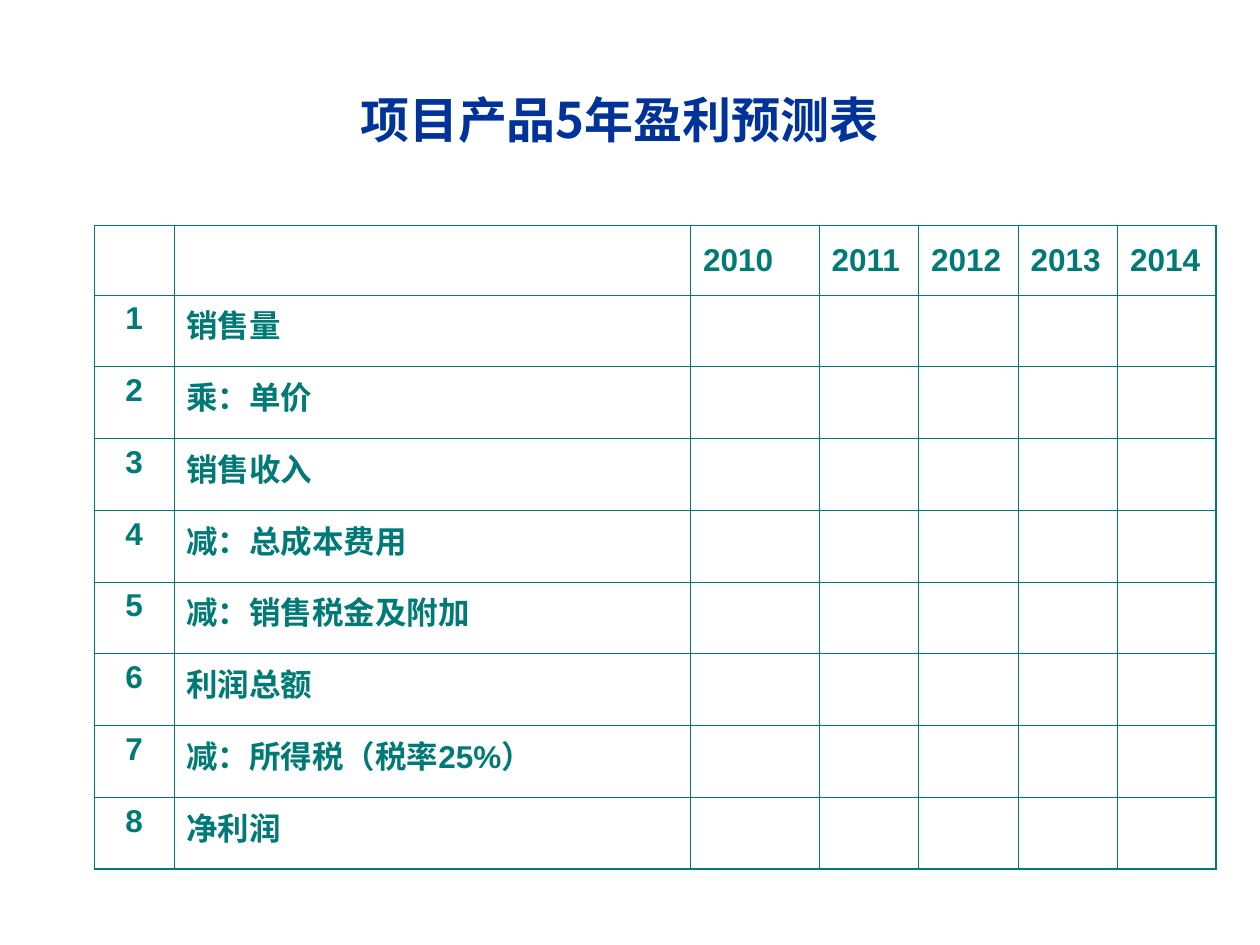
"""Build the five-year profit forecast slide."""
from dataclasses import dataclass

from lxml import etree
from pptx import Presentation, util as u
from pptx.dml.color import RGBColor
from pptx.enum import text
from pptx.oxml import ns


@dataclass(frozen=True)
class Theme:
    teal: str = "007A77"
    navy: str = "003399"
    latin: str = "Arial"
    chinese: str = "Noto Sans CJK SC"
    title_size: float = 28
    table_size: float = 18
    outer_line: float = 1.08
    inner_line: float = 0.45


@dataclass(frozen=True)
class TextStyle:
    font: str
    size: float
    color: str
    space_before: float
    align: text.PP_ALIGN = text.PP_ALIGN.LEFT


THEME = Theme()
TITLE = "项目产品5年盈利预测表"
YEARS = [str(year) for year in range(2010, 2015)]
ITEMS = ["销售量", "乘：单价", "销售收入", "减：总成本费用",
         "减：销售税金及附加", "利润总额", "减：所得税（税率25%）", "净利润"]
COLUMN_WIDTHS = [0.63, 4.1, 1.02, 0.79, 0.79, 0.79, 0.78]
ROW_HEIGHTS = [0.55] + [0.57] * len(ITEMS)

TITLE_STYLE = TextStyle(THEME.chinese, THEME.title_size, THEME.navy, 17.5, text.PP_ALIGN.CENTER)
LABEL_STYLE = TextStyle(THEME.latin, THEME.table_size, THEME.teal, 4.5)
NUMBER_STYLE = TextStyle(THEME.latin, THEME.table_size, THEME.teal, 4.5, text.PP_ALIGN.CENTER)


def set_values(target, values: dict) -> None:
    for name, value in values.items():
        setattr(target, name, value)


def write_text(frame, wording: str, style: TextStyle) -> None:
    paragraph = frame.paragraphs[0]
    set_values(paragraph, {"alignment": style.align, "space_before": u.Pt(style.space_before)})
    run = paragraph.add_run()
    run.text = wording
    set_values(run.font, {"name": style.font, "size": u.Pt(style.size), "bold": True})
    run.font.color.rgb = RGBColor.from_string(style.color)
    properties = run._r.get_or_add_rPr()
    etree.SubElement(properties, ns.qn("a:ea"), typeface=THEME.chinese)


def draw_borders(cell, outer_sides: dict[str, bool]) -> None:
    properties = cell._tc.get_or_add_tcPr()
    for side, is_outer in outer_sides.items():
        width = THEME.outer_line if is_outer else THEME.inner_line
        line = etree.SubElement(properties, ns.qn(f"a:ln{side}"), w=str(int(u.Pt(width))))
        fill = etree.SubElement(line, ns.qn("a:solidFill"))
        etree.SubElement(fill, ns.qn("a:srgbClr"), val=THEME.teal)


def add_title(slide) -> None:
    title = slide.shapes.title
    set_values(title, {"left": u.Inches(2.16), "top": u.Inches(0.66),
                       "width": u.Inches(5.51), "height": u.Inches(0.57)})
    set_values(title.text_frame, {"word_wrap": True, "vertical_anchor": text.MSO_ANCHOR.MIDDLE,
                                  "auto_size": text.MSO_AUTO_SIZE.NONE})
    write_text(title.text_frame, TITLE, TITLE_STYLE)


def add_forecast_table(slide) -> None:
    blanks = [""] * len(YEARS)
    rows = [["", "", *YEARS]]
    rows += [[str(number), item, *blanks] for number, item in enumerate(ITEMS, 1)]
    last_row, last_column = len(rows) - 1, len(COLUMN_WIDTHS) - 1
    table = slide.shapes.add_table(
        len(rows), len(COLUMN_WIDTHS), u.Inches(0.75), u.Inches(1.79),
        u.Inches(sum(COLUMN_WIDTHS)), u.Inches(sum(ROW_HEIGHTS))).table
    set_values(table, {"first_row": False, "horz_banding": False})
    for column, width in zip(table.columns, COLUMN_WIDTHS):
        column.width = u.Inches(width)
    for row, height in zip(table.rows, ROW_HEIGHTS):
        row.height = u.Inches(height)
    for r, row in enumerate(rows):
        for c, wording in enumerate(row):
            cell = table.cell(r, c)
            draw_borders(cell, {"L": c == 0, "R": c == last_column,
                                "T": r == 0, "B": r == last_row})
            cell.fill.background()
            cell.vertical_anchor = text.MSO_ANCHOR.TOP if r else text.MSO_ANCHOR.MIDDLE
            if wording:
                write_text(cell.text_frame, wording, LABEL_STYLE if c else NUMBER_STYLE)


def main() -> None:
    presentation = Presentation()
    set_values(presentation, {"slide_width": u.Inches(10), "slide_height": u.Inches(7.5)})
    slide = presentation.slides.add_slide(presentation.slide_layouts.get_by_name("Title Only"))
    add_forecast_table(slide)
    add_title(slide)
    presentation.save("out.pptx")


if __name__ == "__main__":
    main()
